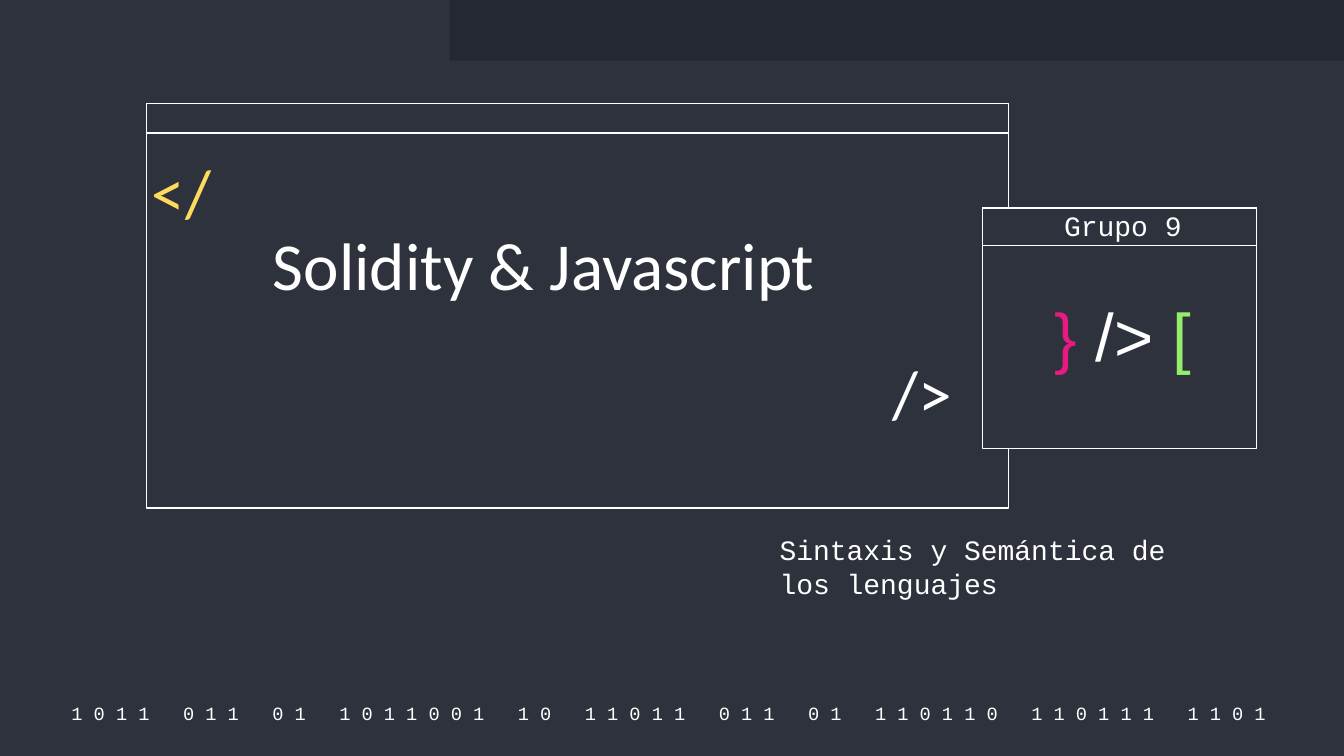
from dataclasses import dataclass

from pptx import Presentation
from pptx.dml.color import RGBColor
from pptx.enum.shapes import MSO_SHAPE as Shape
from pptx.enum.text import MSO_ANCHOR as Anchor, MSO_AUTO_SIZE as AutoSize, PP_ALIGN as Align
from pptx.util import Pt


@dataclass(frozen=True)
class Theme:
    """Colours, fonts and type sizes of the slide."""

    background: str = "2D323C"
    band: str = "242830"
    white: str = "FFFFFF"
    yellow: str = "FFDB5D"
    pink: str = "E81981"
    green: str = "94EE6B"
    heading_font: str = "Calibri"
    code_font: str = "Courier New"
    symbol_font: str = "Arial"
    heading_size: float = 36
    label_size: float = 15
    digit_size: float = 10
    outline: float = 0.75
    padding: float = 7.2


THEME = Theme()
HEADING = dict(font=THEME.heading_font, size=THEME.heading_size, spacing=0.9)
LABEL = dict(font=THEME.code_font, size=THEME.label_size)
BINARY_WORDS = "1011 011 01 1011001 10 11011 011 01 110110 110111 1101".split()


def place(element, box):
    """Move an element to a (left, top, width, height) box in points."""
    element.left, element.top, element.width, element.height = map(Pt, box)


def write(element, pieces, *, font, size, align=Align.LEFT, anchor=Anchor.TOP,
          spacing=1.0, top=THEME.padding, right=THEME.padding):
    """Fill an element with one paragraph of (text, colour) pieces."""
    frame = element.text_frame
    frame.word_wrap = True
    frame.auto_size = AutoSize.NONE
    frame.vertical_anchor = anchor
    frame.margin_left = frame.margin_bottom = Pt(THEME.padding)
    frame.margin_top, frame.margin_right = Pt(top), Pt(right)
    paragraph = frame.paragraphs[0]
    paragraph.alignment = align
    paragraph.line_spacing = spacing
    paragraph.space_before = paragraph.space_after = Pt(0)
    for text, colour in pieces:
        run = paragraph.add_run()
        run.text = text
        run.font.name = font
        run.font.size = Pt(size)
        run.font.color.rgb = RGBColor.from_string(colour)


def add_label(slide, box, pieces, **style):
    """Add a text box holding the given pieces."""
    label = slide.shapes.add_textbox(*map(Pt, box))
    write(label, pieces, **style)


def fill_placeholder(slide, placeholder, box, text, **style):
    """Place a placeholder in front of earlier shapes and write its text."""
    slide.shapes.element.append(placeholder.element)
    place(placeholder, box)
    write(placeholder, [(text, THEME.white)], **style)


def add_panel(shapes, box, fill, outlined=False):
    """Add a flat rectangle, with a white outline when asked."""
    panel = shapes.add_shape(Shape.RECTANGLE, *map(Pt, box))
    panel.shadow.inherit = False
    panel.fill.solid()
    panel.fill.fore_color.rgb = RGBColor.from_string(fill)
    if outlined:
        panel.line.color.rgb = RGBColor.from_string(THEME.white)
        panel.line.width = Pt(THEME.outline)
    else:
        panel.line.fill.background()


def add_window(slide, left, top, width, height, bar_height):
    """Add a grouped window frame with a title bar."""
    window = slide.shapes.add_group_shape().shapes
    for panel_height in (height, bar_height):
        add_panel(window, (left, top, width, panel_height), THEME.background, outlined=True)


def main():
    """Build the cover slide and save it."""
    deck = Presentation()
    deck.slide_width, deck.slide_height = Pt(720), Pt(405)
    slide = deck.slides.add_slide(deck.slide_layouts[0])
    title, subtitle = slide.placeholders
    slide.background.fill.solid()
    slide.background.fill.fore_color.rgb = RGBColor.from_string(THEME.background)

    binary_line = "   ".join(" ".join(word) for word in BINARY_WORDS)
    add_label(slide, (27.4, 374.6, 667.4, 14.4), [(binary_line, THEME.white)],
              font=THEME.code_font, size=THEME.digit_size, align=Align.CENTER,
              anchor=Anchor.MIDDLE, right=13.2)
    add_panel(slide.shapes, (241, 0, 479, 32.5), THEME.band)

    add_window(slide, 78.5, 55.4, 461.7, 216.8, 16)
    fill_placeholder(slide, subtitle, (410.4, 281.5, 239.8, 59),
                     "Sintaxis y Semántica de los lenguajes", top=4, **LABEL)
    add_label(slide, (74.2, 78.5, 55.4, 47.5), [("</", THEME.yellow)], **HEADING)
    add_label(slide, (470.9, 185.8, 55.4, 47.5), [("/>", THEME.white)], **HEADING)
    fill_placeholder(slide, title, (139, 117.4, 372.2, 131.8),
                     "Solidity & Javascript", **HEADING)

    add_window(slide, 526.3, 111.5, 146.9, 128.8, 20)
    symbols = [("}", THEME.pink), (" /> ", THEME.white), ("[", THEME.green)]
    add_label(slide, (553.7, 155.5, 95.8, 59), symbols, align=Align.CENTER,
              **HEADING | {"font": THEME.symbol_font})
    add_label(slide, (563, 111.5, 103, 33), [("Grupo 9", THEME.white)], top=0, **LABEL)

    deck.save("out.pptx")


if __name__ == "__main__":
    main()
